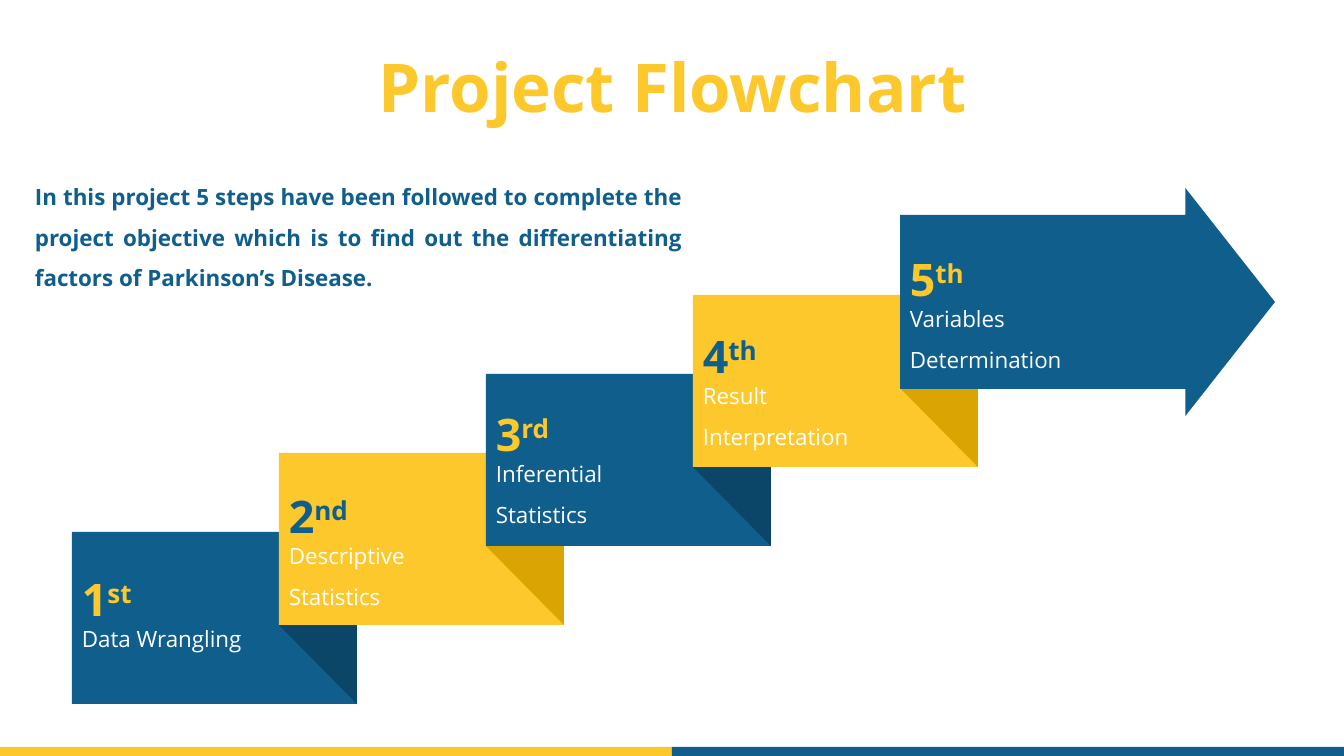
import pptx
import pptx.util
import pptx.dml.color
import pptx.enum.shapes
import pptx.enum.text

TITLE = "Project Flowchart"
INTRO = (
    "In this project 5 steps have been followed to complete the project objective "
    "which is to find out the differentiating factors of Parkinson’s Disease."
)
STEPS = [
    {"number": "1", "suffix": "st", "label": "Data Wrangling", "inset": 8, "label_height": 46},
    {"number": "2", "suffix": "nd", "label": "Descriptive Statistics", "inset": 4, "label_height": 88},
    {"number": "3", "suffix": "rd", "label": "Inferential Statistics", "inset": 1, "label_height": 88},
    {"number": "4", "suffix": "th", "label": "Result Interpretation", "inset": 2, "label_height": 88},
    {"number": "5", "suffix": "th", "label": "Variables Determination", "inset": 4, "label_height": 88},
]
THEME = {
    "font": "Open Sans",
    "blue": "0F5E8C",
    "yellow": "FCC82B",
    "white": "FFFFFF",
    "fold": {"blue": "0B4669", "yellow": "DAA503"},
    "title_size": 48,
    "ordinal_size": 32,
    "body_size": 16,
}

SLIDE_W, SLIDE_H = 1344, 756
SCALE = 12192000 / SLIDE_W
FIRST_X, FIRST_Y = 72, 532
STEP_W, STEP_H = 285, 172
RUN, RISE = 207, 79
ARROW_W, ARROW_H = 375, 228
ARROW_BODY, ARROW_HEAD = 0.763, 0.393
ORDINAL_H, LABEL_DROP = 83, 67
FOOTER_Y = 747

SHAPE = pptx.enum.shapes.MSO_SHAPE
ALIGN = pptx.enum.text.PP_ALIGN


def px(length):
    return pptx.util.Emu(round(length * SCALE))


def color(name):
    return pptx.dml.color.RGBColor.from_string(name)


def paint(shape, fill):
    shape.shadow.inherit = False
    shape.fill.solid()
    shape.fill.fore_color.rgb = color(fill)
    shape.line.fill.background()


def add_block(slide, kind, box, fill):
    block = slide.shapes.add_shape(kind, *map(px, box))
    paint(block, fill)
    return block


def add_fold(slide, x, y, width, height, fill):
    outline = slide.shapes.build_freeform(px(x), px(y))
    outline.add_line_segments([(px(x + width), px(y)), (px(x + width), px(y + height))])
    paint(outline.convert_to_shape(), fill)


def add_words(slide, box, words, size, ink, bold=False, align=ALIGN.LEFT, spacing=1.5, suffix=None):
    frame = slide.shapes.add_textbox(*map(px, box)).text_frame
    frame.word_wrap = True
    frame.auto_size = pptx.enum.text.MSO_AUTO_SIZE.SHAPE_TO_FIT_TEXT
    frame.text = words
    paragraph = frame.paragraphs[0]
    paragraph.alignment = align
    paragraph.line_spacing = spacing
    if suffix:
        raised = paragraph.add_run()
        raised.text = suffix
        raised._r.get_or_add_rPr().set("baseline", "30000")
    for run in paragraph.runs:
        run.font.name = THEME["font"]
        run.font.size = pptx.util.Pt(size)
        run.font.bold = bold
        run.font.color.rgb = color(ink)


def add_steps(slide):
    last = len(STEPS) - 1
    for index, step in enumerate(STEPS):
        x, y = FIRST_X + RUN * index, FIRST_Y - RISE * index
        fill, ink = ("blue", "yellow") if index % 2 == 0 else ("yellow", "blue")
        if index < last:
            add_block(slide, SHAPE.RECTANGLE, (x, y, STEP_W, STEP_H), THEME[fill])
            add_fold(slide, x + RUN, y + STEP_H - RISE, STEP_W - RUN, RISE, THEME["fold"][fill])
        else:
            arrow_y = y + (STEP_H - ARROW_H) / 2
            arrow = add_block(slide, SHAPE.RIGHT_ARROW, (x, arrow_y, ARROW_W, ARROW_H), THEME[fill])
            arrow.adjustments[0] = ARROW_BODY
            arrow.adjustments[1] = ARROW_HEAD
        ordinal_y = y + step["inset"]
        add_words(slide, (x, ordinal_y + LABEL_DROP, RUN, step["label_height"]),
                  step["label"], THEME["body_size"], THEME["white"])
        add_words(slide, (x, ordinal_y, RUN, ORDINAL_H), step["number"],
                  THEME["ordinal_size"], THEME[ink], bold=True, suffix=step["suffix"])


def main():
    deck = pptx.Presentation()
    deck.slide_width, deck.slide_height = px(SLIDE_W), px(SLIDE_H)
    slide = deck.slides.add_slide(deck.slide_layouts[6])
    add_steps(slide)
    half = SLIDE_W // 2
    for side, fill in enumerate(("yellow", "blue")):
        add_block(slide, SHAPE.RECTANGLE, (half * side, FOOTER_Y, half, SLIDE_H - FOOTER_Y), THEME[fill])
    add_words(slide, (339, 40, 667, 92), TITLE, THEME["title_size"], THEME["yellow"],
              bold=True, align=ALIGN.CENTER, spacing=1.0)
    add_words(slide, (25, 165, 667, 128), INTRO, THEME["body_size"], THEME["blue"],
              bold=True, align=ALIGN.JUSTIFY)
    deck.save("out.pptx")


if __name__ == "__main__":
    main()
